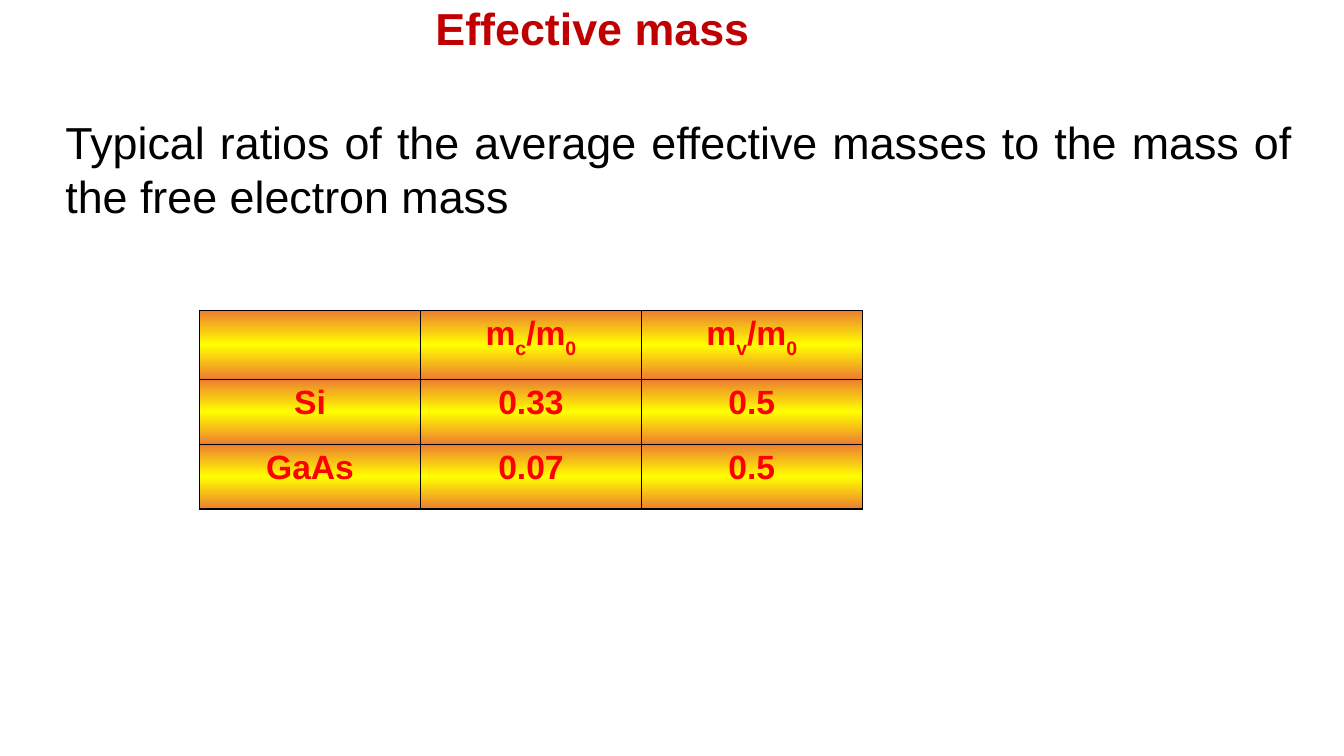
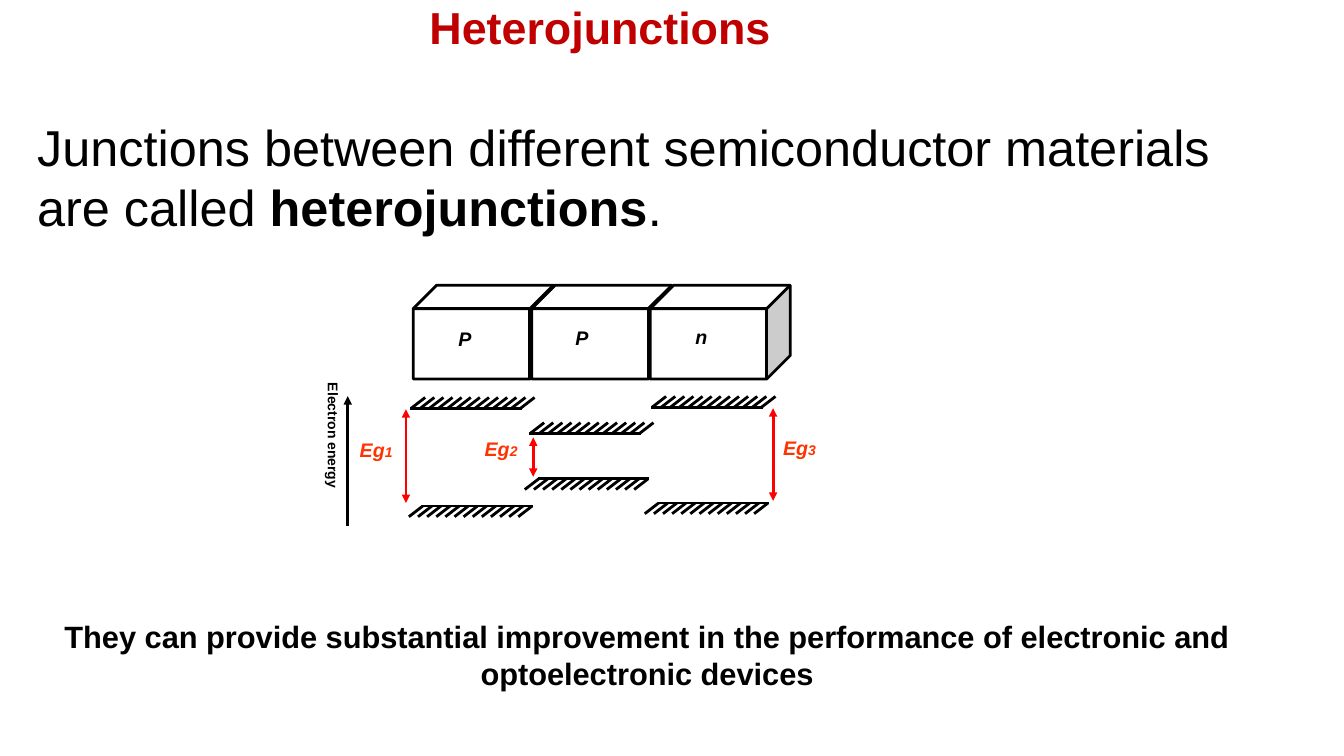
"""Build two slides on effective mass and heterojunctions, on a 160 by 90 grid."""
from pptx import Presentation
from pptx.dml.color import RGBColor
from pptx.enum.shapes import MSO_CONNECTOR, MSO_SHAPE
from pptx.enum.text import MSO_ANCHOR, PP_ALIGN
from pptx.oxml import parse_xml
from pptx.oxml.ns import nsdecls
from pptx.util import Inches, Pt

FONT = "Arial"
BLACK, WHITE, TITLE_RED, RED, LABEL_RED = "000000", "FFFFFF", "C00000", "FF0000", "FF3300"
ORANGE, YELLOW = "ED7D31", "FFFF00"

deck = Presentation()
deck.slide_width, deck.slide_height = Inches(13.33), Inches(7.5)
COLUMN, ROW = deck.slide_width / 160, deck.slide_height / 90


def grid(*lengths):
    """Turn alternating column and row counts into slide lengths."""
    return [round(length * (ROW if index % 2 else COLUMN)) for index, length in enumerate(lengths)]


def write(para, text, size, colour, bold=False, italic=False, baseline=0):
    """Add one formatted run to a paragraph."""
    span = para.add_run()
    span.text = text
    span.font.name, span.font.size = FONT, Pt(size)
    span.font.bold, span.font.italic = bold, italic
    span.font.color.rgb = RGBColor.from_string(colour)
    if baseline:
        span.font._element.set("baseline", str(baseline * 1000))


titles = [
    ("Effective mass", (50.64, 0, 41.9, 7.44)),
    ("Heterojunctions", (49.92, 0.12, 53.64, 6.96)),
]
for text, place in titles:
    page = deck.slides.add_slide(deck.slide_layouts[5])
    title = page.shapes.title
    title.left, title.top, title.width, title.height = grid(*place)
    title.fill.solid()
    title.fill.fore_color.rgb = RGBColor.from_string(WHITE)
    title.line.color.rgb = RGBColor.from_string(WHITE)
    title.line.width = Pt(0.75)
    title.text_frame.word_wrap = True
    title.text_frame.vertical_anchor = MSO_ANCHOR.MIDDLE
    para = title.text_frame.paragraphs[0]
    para.alignment, para.line_spacing = PP_ALIGN.LEFT, 0.9
    write(para, text, 32, TITLE_RED, bold=True)

mass_page, junction_page = deck.slides

mass_rows = [
    [[], [("m", 0), ("c", -30), ("/m", 0), ("0", -30)], [("m", 0), ("v", -30), ("/m", 0), ("0", -30)]],
    [[("Si", 0)], [("0.33", 0)], [("0.5", 0)]],
    [[("GaAs", 0)], [("0.07", 0)], [("0.5", 0)]],
]
row_heights = [8.2, 7.72, 7.72]
frame = mass_page.shapes.add_table(3, 3, *grid(23.76, 36.96, 78.9, sum(row_heights)))
table = frame.table
table.first_row = table.horz_banding = False
stops = "".join(
    f'<a:gs pos="{position}"><a:srgbClr val="{colour}"/></a:gs>'
    for position, colour in [(0, ORANGE), (50000, YELLOW), (100000, ORANGE)]
)
for row_index, (height, row) in enumerate(zip(row_heights, mass_rows)):
    table.rows[row_index].height = round(height * ROW)
    for column_index, runs in enumerate(row):
        cell = table.cell(row_index, column_index)
        para = cell.text_frame.paragraphs[0]
        para.alignment = PP_ALIGN.CENTER
        for text, baseline in runs:
            write(para, text, 24, RED, bold=True, baseline=baseline)
        properties = cell._tc.get_or_add_tcPr()
        for side in "LRTB":
            properties.append(parse_xml(
                f'<a:ln{side} {nsdecls("a")} w="12700"><a:solidFill>'
                f'<a:srgbClr val="{BLACK}"/></a:solidFill></a:ln{side}>'
            ))
        properties.append(parse_xml(
            f'<a:gradFill {nsdecls("a")}><a:gsLst>{stops}</a:gsLst>'
            '<a:lin ang="5400000" scaled="0"/></a:gradFill>'
        ))

for index in range(3):
    block = junction_page.shapes.add_shape(MSO_SHAPE.CUBE, *grid(49.2 + 14.1 * index, 33.96, 16.68, 11.16))
    block.shadow.inherit = False
    block.fill.solid()
    block.fill.fore_color.rgb = RGBColor.from_string(WHITE)
    block.line.color.rgb = RGBColor.from_string(BLACK)
    block.line.width = Pt(2)

band_edges = [
    (48.84, 48.6, 1), (63, 51.6, 1), (77.52, 48.48, 1),
    (63.48, 60.24, -1), (77.28, 57, -1), (91.56, 59.88, -1),
]
lines = []
for x, y, direction in band_edges:
    lines.append((x, y, x + 13.26 * direction, y, BLACK, ()))
    for stroke in range(13):
        foot = x + (0.12 + 1.085 * stroke) * direction
        lines.append((foot, y, foot + 1.66 * direction, y - 1.28 * direction, BLACK, ()))
for x, top, bottom in [(48.33, 48.72, 59.88), (92.04, 48.6, 59.64), (63.48, 52.08, 56.76)]:
    lines.append((x, top, x, bottom, RED, ("headEnd", "tailEnd")))
lines.append((41.4, 62.64, 41.4, 47.16, BLACK, ("tailEnd",)))

for *ends, colour, arrowheads in lines:
    line = junction_page.shapes.add_connector(MSO_CONNECTOR.STRAIGHT, *grid(*ends))
    line.line.color.rgb = RGBColor.from_string(colour)
    line.line.width = Pt(2)
    for arrowhead in arrowheads:
        line.line._get_or_add_ln().append(parse_xml(f'<a:{arrowhead} {nsdecls("a")} type="triangle"/>'))
    line._element.spPr.append(parse_xml(f'<a:effectLst {nsdecls("a")}/>'))

LEFT, CENTER, JUSTIFY = PP_ALIGN.LEFT, PP_ALIGN.CENTER, PP_ALIGN.JUSTIFY
texts = [
    (mass_page, (6.6, 12.96, 148.56, 14.16), JUSTIFY, [
        ("Typical ratios of the average effective masses to the mass of the free electron mass", 32, BLACK),
    ]),
    (junction_page, (3.24, 13.2, 151.32, 15.72), LEFT, [
        ("Junctions between different semiconductor materials are called ", 36, BLACK),
        ("heterojunctions", 36, BLACK, True),
        (".", 36, BLACK),
    ]),
    (junction_page, (4.32, 72.96, 145.44, 9.96), CENTER, [
        ("They can provide substantial improvement in the performance of electronic and "
         "optoelectronic devices", 22, BLACK, True),
    ]),
]
for letter, x, y in [("P", 53.4, 38.28), ("P", 67.32, 38.16), ("n", 81.6, 38.04)]:
    texts.append((junction_page, (x, y, 6, 3.96), LEFT, [(letter, 14, BLACK, True, True)]))
for number, x, y in [("1", 41.64, 51.6), ("2", 56.52, 51.48), ("3", 92.04, 51.36)]:
    texts.append((junction_page, (x, y, 8.4, 3.96), LEFT, [
        ("Eg", 14, LABEL_RED, True, True), (number, 10, LABEL_RED, True, True),
    ]))
texts.append((junction_page, (36.84, 44.4, 4.44, 20.64), LEFT, [("Electron energy", 10, BLACK, True)]))

for page, place, alignment, runs in texts:
    box = page.shapes.add_textbox(*grid(*place))
    box.text_frame.word_wrap = True
    if page is mass_page:
        box.text_frame.vertical_anchor = MSO_ANCHOR.MIDDLE
    para = box.text_frame.paragraphs[0]
    para.alignment = alignment
    for run in runs:
        write(para, *run)

box.text_frame._txBody.bodyPr.set("vert", "eaVert")

deck.save("out.pptx")
